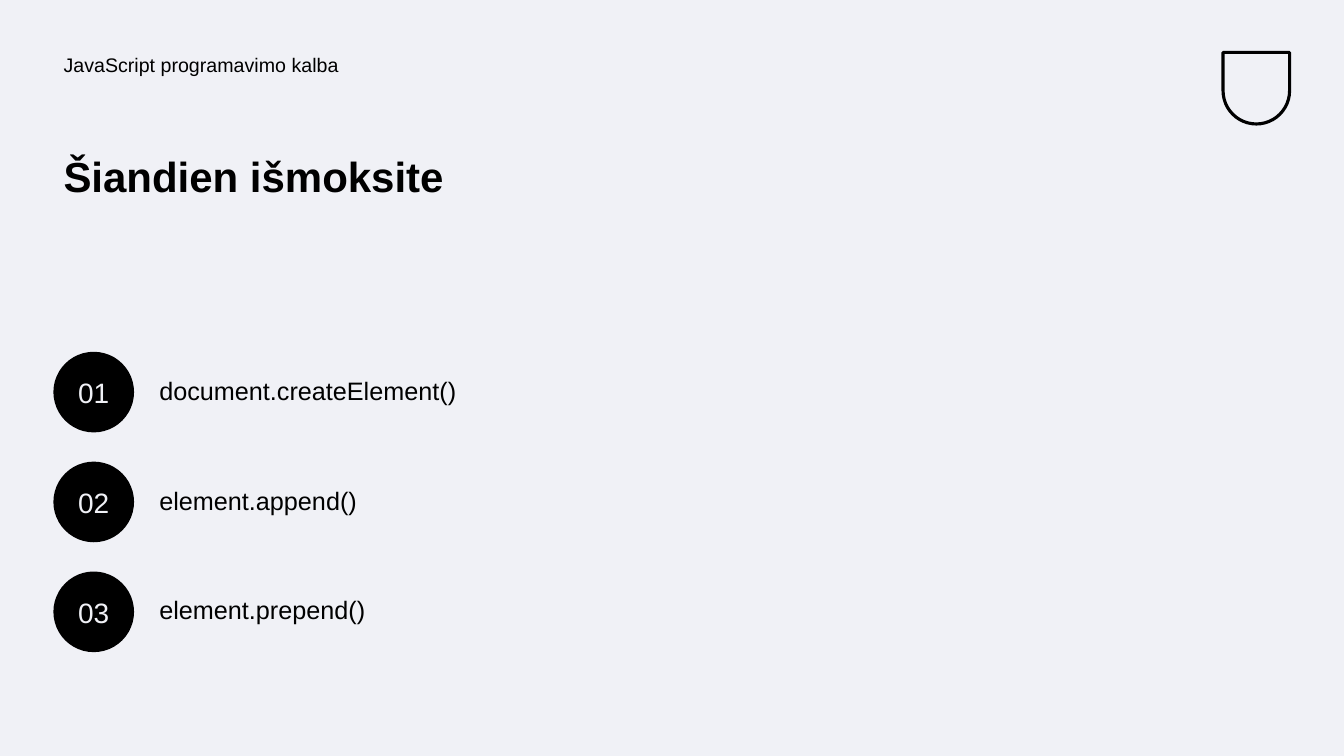
from pptx import Presentation
from pptx.dml.color import RGBColor
from pptx.enum.shapes import MSO_SHAPE as Shape
from pptx.enum.text import MSO_ANCHOR as Anchor, MSO_AUTO_SIZE as AutoSize, PP_ALIGN as Align
from pptx.util import Inches, Pt
from lxml.etree import SubElement
from pptx.oxml.ns import qn

INK = "000000"
PAPER = "F0F1F6"
LESSONS = ["document.createElement()", "element.append()", "element.prepend()"]


def colour(value):
    return RGBColor.from_string(value)


class LessonPage:
    """Holds the lesson style and the slide being built."""

    font = "Arial"

    def __init__(self, deck):
        self.page = deck.slides.add_slide(deck.slide_layouts.get_by_name("Comparison"))
        fill = self.page.background.fill
        fill.solid()
        fill.fore_color.rgb = colour(PAPER)

    def add_text(self, box, text, size, ink=INK, bold=False, align=Align.LEFT, anchor=Anchor.TOP, spacing=1.0):
        frame = box.text_frame
        frame.word_wrap = True
        frame.auto_size = AutoSize.NONE
        frame.vertical_anchor = anchor
        para = frame.paragraphs[0]
        para.alignment = align
        para.line_spacing = spacing
        para.space_before = Pt(0)
        span = para.add_run()
        span.text = text
        span.font.name = self.font
        span.font.size = Pt(size)
        span.font.bold = bold
        span.font.color.rgb = colour(ink)
        return para

    def place(self, box, left, top, width, height):
        box.left, box.top = Inches(left), Inches(top)
        box.width, box.height = Inches(width), Inches(height)

    def title(self, text, left, top, width, height):
        box = self.page.shapes.title
        self.place(box, left, top, width, height)
        self.add_text(box, text, 30, bold=True, spacing=0.9)

    def body(self, index, text, size, left, top, width, height, spacing=1.0):
        box = self.page.placeholders[index]
        self.place(box, left, top, width, height)
        properties = self.add_text(box, text, size, spacing=spacing)._p.get_or_add_pPr()
        properties.set("marL", "0")
        properties.set("indent", "0")
        SubElement(properties, qn("a:buNone"))

    def badge(self, text, left, top, size):
        circle = self.page.shapes.add_shape(
            Shape.OVAL, Inches(left), Inches(top), Inches(size), Inches(size))
        circle.shadow.inherit = False
        circle.fill.solid()
        circle.fill.fore_color.rgb = colour(INK)
        circle.line.fill.background()
        self.add_text(circle, text, 20, PAPER, align=Align.CENTER, anchor=Anchor.MIDDLE)

    def emblem(self, left, top, width, height):
        shield = self.page.shapes.add_shape(
            Shape.ROUND_2_SAME_RECTANGLE, Inches(left), Inches(top), Inches(width), Inches(height))
        shield.adjustments[0] = 0.5
        shield.rotation = 180
        shield.shadow.inherit = False
        shield.fill.background()
        shield.line.color.rgb = colour(INK)
        shield.line.width = Pt(2.25)


def main():
    deck = Presentation()
    deck.slide_width, deck.slide_height = Inches(13.33), Inches(7.5)
    lesson_page = LessonPage(deck)
    lesson_page.emblem(12.13, 0.52, 0.66, 0.71)
    lesson_page.body(1, "JavaScript programavimo kalba", 14, 0.53, 0.5, 7.42, 0.5, spacing=0.9)
    lesson_page.title("Šiandien išmoksite", 0.53, 1.5, 5.64, 1.49)
    for number, lesson in enumerate(LESSONS, start=1):
        top = 3.49 + 1.09 * (number - 1)
        lesson_page.badge(f"{number:02}", 0.53, top, 0.8)
        lesson_page.body(number + 1, lesson, 18, 1.48, top + 0.18, 4.63, 0.45)
    deck.save("out.pptx")


if __name__ == "__main__":
    main()
